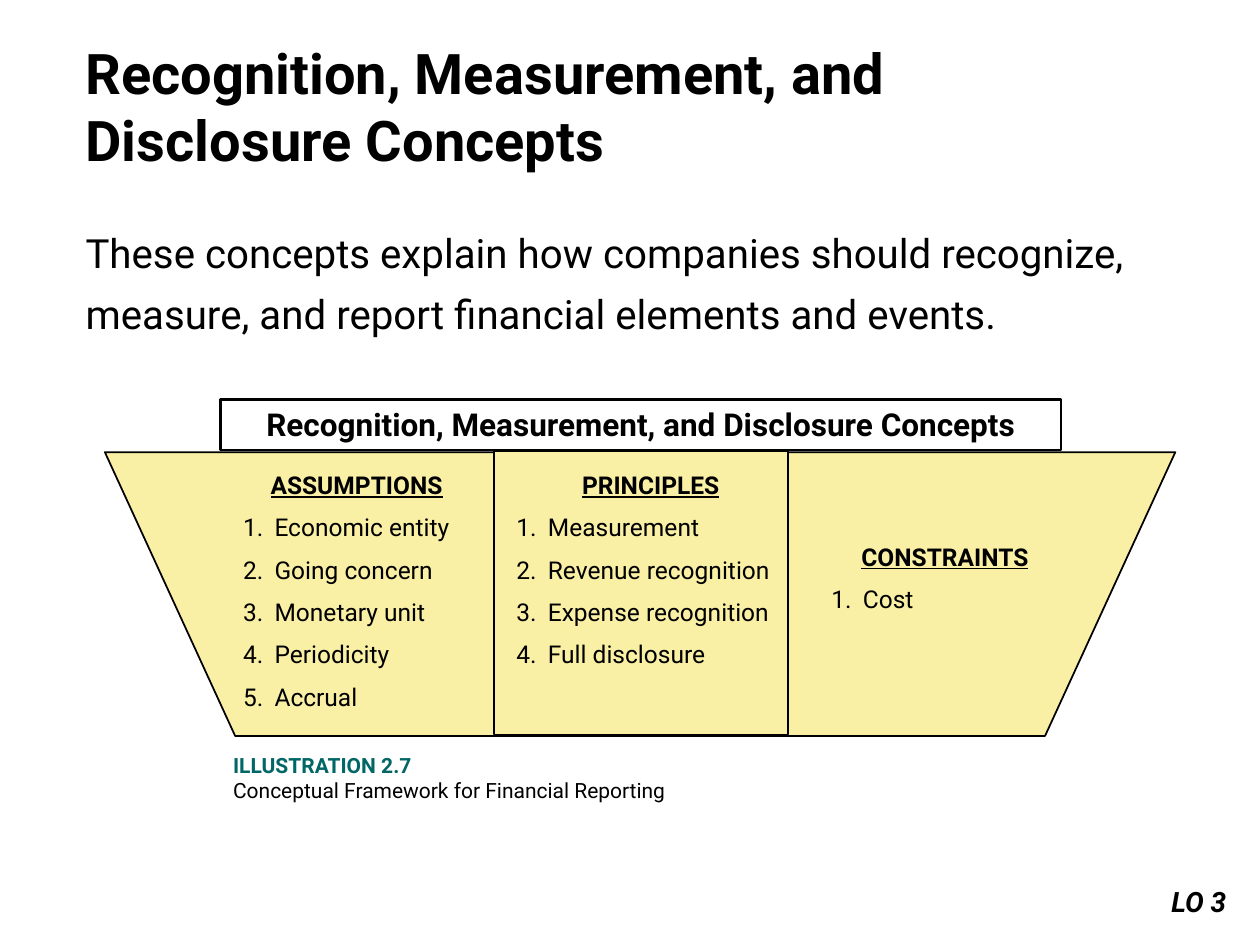
from lxml.etree import SubElement
from pptx import Presentation
from pptx.dml.color import RGBColor
from pptx.enum.shapes import MSO_SHAPE as Shape
from pptx.enum.text import MSO_ANCHOR as Anchor, MSO_AUTO_SIZE as AutoSize, PP_ALIGN as Align
from pptx.oxml.ns import qn
from pptx.util import Cm, Pt

COLORS = {"black": "000000", "white": "FFFFFF", "cream": "F9EFA5", "teal": "006666"}
FONT = "Roboto"
PARAGRAPH_GAP = Pt(7.4)

presentation = Presentation()
presentation.slide_width, presentation.slide_height = Cm(25.4), Cm(19.05)
slide = presentation.slides.add_slide(presentation.slide_layouts[1])


def write(paragraph, text, size, color="black", bold=False, align=Align.LEFT):
    paragraph.text = text
    paragraph.alignment = align
    font = paragraph.runs[0].font
    font.name, font.size, font.bold = FONT, Pt(size), bold
    font.color.rgb = RGBColor.from_string(COLORS[color])
    return font


def add_box(kind, left, top, width, height, fill=None, line=None):
    shape = slide.shapes.add_shape(kind, Cm(left), Cm(top), Cm(width), Cm(height))
    shape.shadow.inherit = False
    if fill:
        shape.fill.solid()
        shape.fill.fore_color.rgb = RGBColor.from_string(COLORS[fill])
    else:
        shape.fill.background()
    if line:
        shape.line.color.rgb = RGBColor.from_string(COLORS["black"])
        shape.line.width = Pt(line)
    else:
        shape.line.fill.background()
    shape.text_frame.vertical_anchor = Anchor.TOP
    return shape


# Title and introductory sentence
title, body = slide.shapes.title, slide.placeholders[1]
for placeholder, top, width, height in ((title, 0.64, 20.75, 1.55), (body, 4.24, 23.06, 2.59)):
    placeholder.left, placeholder.top = Cm(1.47), Cm(top)
    placeholder.width, placeholder.height = Cm(width), Cm(height)
    placeholder.text_frame.vertical_anchor = Anchor.TOP
    placeholder.text_frame.auto_size = AutoSize.NONE

HEADING = "Recognition, Measurement, and Disclosure Concepts"
write(title.text_frame.paragraphs[0], HEADING, 32, bold=True)

sentence = body.text_frame.paragraphs[0]
properties = sentence._p.get_or_add_pPr()
properties.set("marL", "0")
properties.set("indent", "0")
SubElement(properties, qn("a:buNone"))
write(sentence, "These concepts explain how companies should recognize, "
      "measure, and report financial elements and events.", 23)
sentence.line_spacing = 1.25
sentence.space_before = Pt(0)

# Funnel: slanted right and left wings, then the middle panel
right_wing = add_box(Shape.FLOWCHART_MANUAL_INPUT, 14.27, 5.41, 5.72, 13.13, "cream", 1)
right_wing.rotation = 90
right_wing.element.spPr.get_or_add_xfrm().set("flipH", "1")
left_wing = add_box(Shape.FLOWCHART_MANUAL_INPUT, 5.82, 5.41, 5.72, 13.13, "cream", 1)
left_wing.rotation = 270
add_box(Shape.RECTANGLE, 9.96, 9.09, 5.92, 5.72, "cream", 1)

# Numbered lists inside the funnel
columns = [
    ("ASSUMPTIONS", 4.65, 9.35, 5.08, 5.33,
     ["Economic entity", "Going concern", "Monetary unit", "Periodicity", "Accrual"]),
    ("PRINCIPLES", 10.16, 9.35, 5.92, 4.45,
     ["Measurement", "Revenue recognition", "Expense recognition", "Full disclosure"]),
    ("CONSTRAINTS", 16.51, 10.8, 5.08, 1.75, ["Cost"]),
]
for heading, left, top, width, height, items in columns:
    frame = slide.shapes.add_textbox(Cm(left), Cm(top), Cm(width), Cm(height)).text_frame
    frame.word_wrap = True
    write(frame.paragraphs[0], heading, 14, bold=True, align=Align.CENTER).underline = True
    for item in items:
        paragraph = frame.add_paragraph()
        properties = paragraph._p.get_or_add_pPr()
        properties.set("marL", str(Cm(0.635)))
        properties.set("indent", str(-Cm(0.635)))
        SubElement(properties, qn("a:buFont"), typeface=FONT)
        SubElement(properties, qn("a:buAutoNum"), type="arabicPeriod")
        write(paragraph, item, 14)
        paragraph.space_before = PARAGRAPH_GAP

# Banner above the funnel
banner = add_box(Shape.RECTANGLE, 4.45, 8.05, 16.94, 1.02, line=1.5)
write(banner.text_frame.paragraphs[0], HEADING, 18, bold=True, align=Align.CENTER)

# Caption
caption = slide.shapes.add_textbox(Cm(4.45), Cm(15.04), Cm(14.4), Cm(1.27)).text_frame
caption.word_wrap = True
write(caption.paragraphs[0], "ILLUSTRATION 2.7", 12, "teal", bold=True)
write(caption.add_paragraph(), "Conceptual Framework for Financial Reporting", 12)

# Learning objective tag
objective = add_box(Shape.RECTANGLE, 21.79, 17.7, 3.18, 0.94, "white")
write(objective.text_frame.paragraphs[0], "LO 3", 16, bold=True, align=Align.RIGHT).italic = True

presentation.save("out.pptx")
